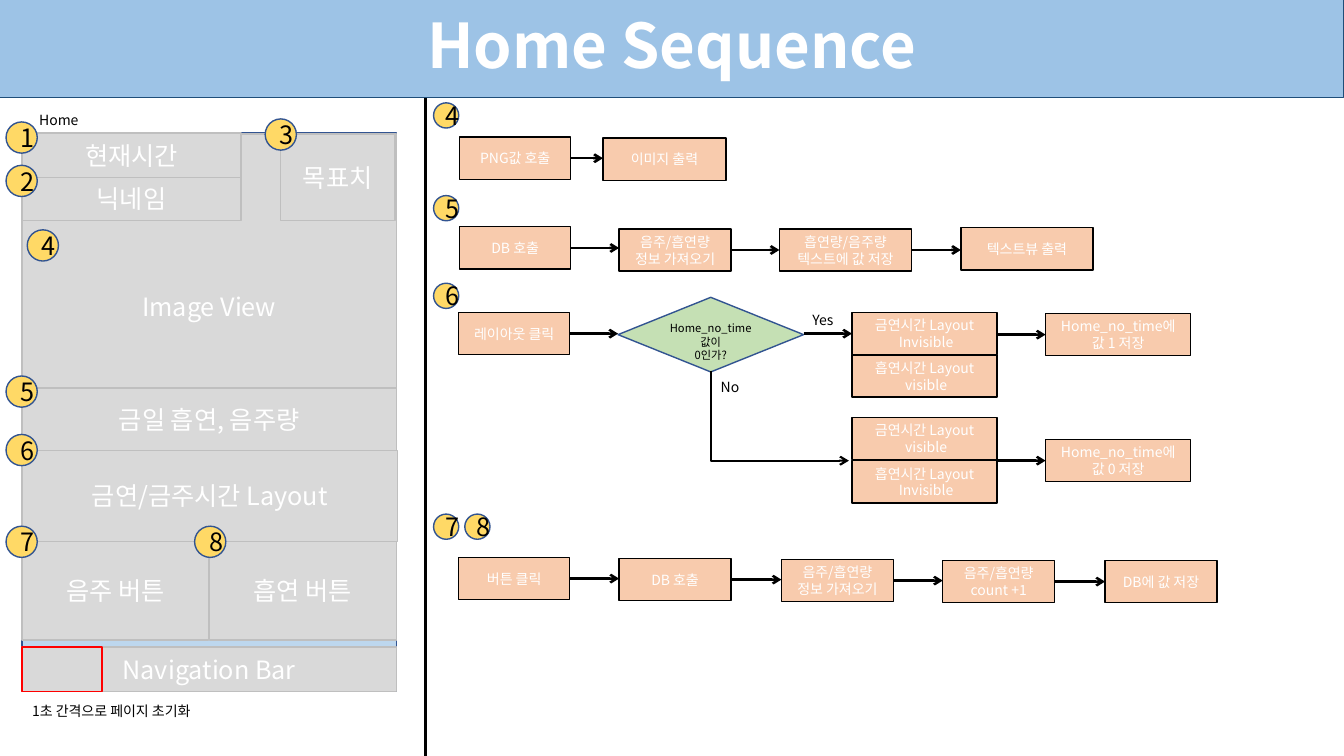
from itertools import pairwise

from lxml import etree
from pptx import Presentation
from pptx.dml.color import RGBColor
from pptx.enum.shapes import MSO_CONNECTOR, MSO_SHAPE
from pptx.enum.text import MSO_ANCHOR, MSO_AUTO_SIZE, PP_ALIGN
from pptx.oxml.ns import qn
from pptx.util import Inches, Pt

RECTANGLE, OVAL, DIAMOND = MSO_SHAPE.RECTANGLE, MSO_SHAPE.OVAL, MSO_SHAPE.DIAMOND
STRAIGHT, ELBOW = MSO_CONNECTOR.STRAIGHT, MSO_CONNECTOR.ELBOW
LEFT, CENTER = PP_ALIGN.LEFT, PP_ALIGN.CENTER
MIDDLE = MSO_ANCHOR.MIDDLE
FIT_SHAPE = MSO_AUTO_SIZE.SHAPE_TO_FIT_TEXT

FONT = "Noto Sans CJK KR"
BLACK = RGBColor(0x00, 0x00, 0x00)
WHITE = RGBColor(0xFF, 0xFF, 0xFF)
RED = RGBColor(0xFF, 0x00, 0x00)
BANNER_BLUE = RGBColor(0x9D, 0xC3, 0xE6)
BANNER_EDGE = RGBColor(0x1F, 0x4E, 0x79)
SCREEN_BLUE = RGBColor(0xBD, 0xD7, 0xEE)
NAVY = RGBColor(0x32, 0x54, 0x91)
GRAY = RGBColor(0xD9, 0xD9, 0xD9)
GRAY_EDGE = RGBColor(0xBF, 0xBF, 0xBF)
YELLOW = RGBColor(0xFF, 0xD9, 0x66)
PEACH = RGBColor(0xF8, 0xCB, 0xAD)
GREEN = RGBColor(0xC5, 0xE0, 0xB4)

STEP_HEIGHT = 0.42

deck = Presentation()
deck.slide_width, deck.slide_height = Inches(13.33), Inches(7.5)
page = deck.slides.add_slide(deck.slide_layouts[6])


def write_text(box, text, size, color, align=CENTER):
    frame = box.text_frame
    frame.word_wrap = True
    frame.text = text
    for para in frame.paragraphs:
        para.alignment = align
        for span in para.runs:
            span.font.size = Pt(size)
            span.font.name = FONT
            span.font.color.rgb = color
            east_asian = etree.SubElement(span.font._element, qn("a:ea"))
            east_asian.set("typeface", FONT)


def add_box(kind, bounds, fill, edge, text="", size=10, color=WHITE):
    box = page.shapes.add_shape(kind, *map(Inches, bounds))
    box.shadow.inherit = False
    if fill is None:
        box.fill.background()
    else:
        box.fill.solid()
        box.fill.fore_color.rgb = fill
    box.line.color.rgb = edge
    box.line.width = Pt(1)
    box.text_frame.vertical_anchor = MIDDLE
    if text:
        write_text(box, text, size, color)
    return box


# Title banner
banner = add_box(RECTANGLE, (0, 0, 13.33, 0.97), BANNER_BLUE, BANNER_EDGE,
                 "Home Sequence", 44)
banner.line.width = Pt(0.75)
title = banner.text_frame.paragraphs[0]
title.line_spacing = 0.9
title.runs[0].font.bold = True

# Phone screen wireframe
add_box(RECTANGLE, (0.22, 1.32, 3.71, 5.54), SCREEN_BLUE, NAVY)
image_view = add_box(RECTANGLE, (0.22, 1.33, 3.71, 2.52), GRAY, GRAY_EDGE,
                     "Image View", 18)
image_view.text_frame.margin_top = Inches(0.95)
screen_parts = [
    ((0.22, 1.75, 2.17, 0.44), "닉네임"),
    ((0.22, 6.42, 3.71, 0.44), "Navigation Bar"),
    ((0.22, 5.37, 1.85, 0.98), "음주 버튼"),
    ((2.08, 5.37, 1.85, 0.98), "흡연 버튼"),
    ((0.22, 1.32, 2.17, 0.44), "현재시간"),
    ((0.22, 4.47, 3.72, 0.9), "금연/금주시간 Layout"),
    ((0.22, 3.85, 3.71, 0.62), "금일 흡연, 음주량"),
    ((2.78, 1.33, 1.14, 0.86), "목표치"),
]
for bounds, text in screen_parts:
    add_box(RECTANGLE, bounds, GRAY, GRAY_EDGE, text, 18)
add_box(RECTANGLE, (0.22, 6.42, 0.79, 0.44), None, RED)

# Number badges: large on the screen, small beside the flows
screen_badges = [(0.06, 1.21, "1"), (0.06, 1.64, "2"), (2.63, 1.18, "3"),
                 (0.27, 2.28, "4"), (0.06, 3.73, "5"), (0.06, 4.31, "6"),
                 (0.06, 5.22, "7"), (1.93, 5.22, "8")]
flow_badges = [(4.3, 1.02, "4"), (4.3, 1.94, "5"), (4.3, 2.81, "6"),
               (4.3, 5.1, "7"), (4.61, 5.1, "8")]
for diameter, badges in ((0.31, screen_badges), (0.25, flow_badges)):
    for left, top, number in badges:
        add_box(OVAL, (left, top, diameter, diameter), YELLOW, NAVY,
                number, 18, BLACK)

# Straight flows: left, top, width and text of each step
flows = [
    [(4.56, 1.36, 1.1, "PNG값 호출"), (5.98, 1.37, 1.22, "이미지 출력")],
    [(4.56, 2.25, 1.1, "DB 호출"),
     (6.14, 2.27, 1.11, "음주/흡연량 정보 가져오기"),
     (7.73, 2.27, 1.31, "흡연량/음주량\n텍스트에 값 저장"),
     (9.53, 2.26, 1.31, "텍스트뷰 출력")],
    [(4.55, 5.53, 1.1, "버튼 클릭"),
     (6.14, 5.54, 1.11, "DB 호출"),
     (7.75, 5.55, 1.11, "음주/흡연량\n정보 가져오기"),
     (9.35, 5.56, 1.11, "음주/흡연량 count +1"),
     (10.96, 5.56, 1.11, "DB에 값 저장")],
]
# Steps around the decision
branch_steps = [
    (4.55, 3.1, 1.1, "레이아웃 클릭"),
    (8.45, 3.1, 1.44, "금연시간 Layout\n Invisible"),
    (8.45, 3.52, 1.44, "흡연시간 Layout\n visible"),
    (10.37, 3.11, 1.44, "Home_no_time에\n값 1 저장"),
    (8.45, 4.14, 1.44, "금연시간 Layout\n visible"),
    (8.45, 4.57, 1.44, "흡연시간 Layout\n Invisible"),
    (10.37, 4.36, 1.44, "Home_no_time에\n값 0 저장"),
]
for steps in [*flows, branch_steps]:
    for left, top, width, text in steps:
        add_box(RECTANGLE, (left, top, width, STEP_HEIGHT), PEACH, BLACK, text)
add_box(DIAMOND, (6.13, 2.95, 1.84, 0.74), GREEN, NAVY)

# Free labels
labels = [
    ((0.29, 1.06, 1.42, 0.27), "Home", 10, LEFT),
    ((0.22, 6.92, 2.41, 0.27), "1초 간격으로 페이지 초기화", 10, LEFT),
    ((7.96, 3.04, 0.45, 0.27), "Yes", 10, LEFT),
    ((7.05, 3.71, 0.45, 0.27), "No", 10, LEFT),
    ((6.45, 3.14, 1.2, 0.37), "Home_no_time값이\n0인가?", 8, CENTER),
]
for bounds, text, size, align in labels:
    label = page.shapes.add_textbox(*map(Inches, bounds))
    write_text(label, text, size, BLACK, align)
    label.text_frame.auto_size = FIT_SHAPE

# Divider, arrows between neighbouring steps, and branch arrows
links = [(STRAIGHT, (4.22, 7.5, 4.22, 0.97), 2.25, False)]
for steps in flows:
    for (left, top, width, _), following in pairwise(steps):
        middle = top + STEP_HEIGHT / 2
        links.append((STRAIGHT, (left + width, middle, following[0], middle), 1.75, True))
for start, end, middle in ((5.65, 6.13, 3.31), (7.97, 8.45, 3.31),
                           (9.89, 10.37, 3.32), (9.89, 10.37, 4.57)):
    links.append((STRAIGHT, (start, middle, end, middle), 1.75, True))
links.append((ELBOW, (7.29, 3.44, 8.18, 4.81), 1.5, True))

for kind, ends, weight, has_arrow in links:
    link = page.shapes.add_connector(kind, *map(Inches, ends))
    link.line.color.rgb = BLACK
    link.line.width = Pt(weight)
    properties = link._element.spPr
    if has_arrow:
        etree.SubElement(properties.find(qn("a:ln")), qn("a:tailEnd")).set("type", "arrow")
    etree.SubElement(properties, qn("a:effectLst"))
    if kind == ELBOW:
        # One bend: down from the diamond, then right
        properties.find(qn("a:prstGeom")).set("prst", "bentConnector2")
        turn = properties.find(qn("a:xfrm"))
        turn.set("rot", str(270 * 60000))
        turn.set("flipH", "1")

deck.save("out.pptx")
